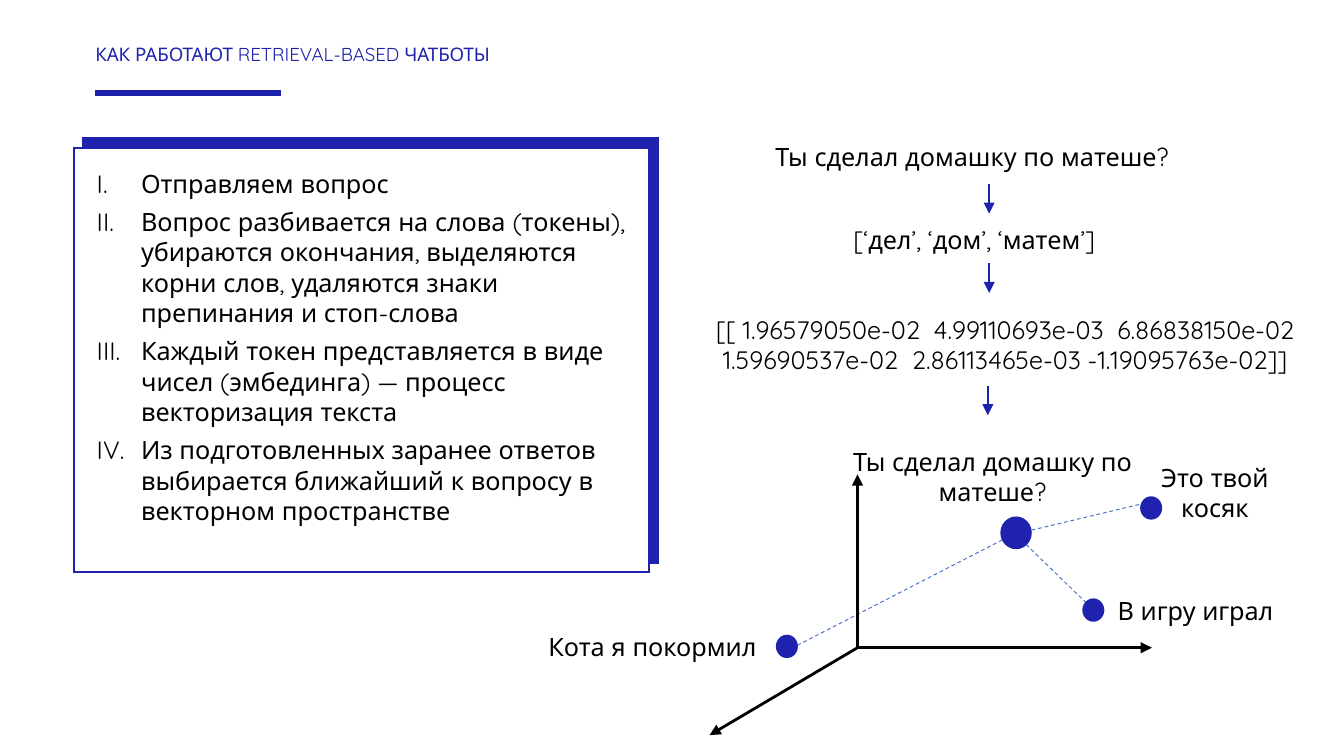
from lxml import etree
from pptx import Presentation
from pptx.dml.color import RGBColor
from pptx.enum.dml import MSO_LINE
from pptx.enum.shapes import MSO_CONNECTOR, MSO_SHAPE
from pptx.enum.text import PP_ALIGN
from pptx.oxml.ns import qn
from pptx.util import Inches, Pt

STRAIGHT = MSO_CONNECTOR.STRAIGHT
RECT, OVAL = MSO_SHAPE.RECTANGLE, MSO_SHAPE.OVAL
LEFT, CENTER, JUSTIFY = PP_ALIGN.LEFT, PP_ALIGN.CENTER, PP_ALIGN.JUSTIFY
DASH = MSO_LINE.DASH
COLORS = {"blue": "1E22AC", "title": "1E22AA", "link": "4472C4",
          "black": "000000", "white": "FFFFFF"}
RGB = {name: RGBColor.from_string(value) for name, value in COLORS.items()}

prs = Presentation()
prs.slide_width = Inches(10)
prs.slide_height = Inches(10) * 9 // 16
s = prs.slides.add_slide(prs.slide_layouts[6])


def add_text(text, box, size=13.5, color="black", align=CENTER, after=4.5,
             insets=(0.04, 0.04), margin=0.03, indent=0, numbered=False):
    tf = s.shapes.add_textbox(*map(Inches, box)).text_frame
    tf.word_wrap = True
    tf.margin_left, tf.margin_right = map(Inches, insets)
    tf.margin_top = tf.margin_bottom = Inches(0.05)
    for i, line in enumerate(text.split("\n")):
        p = tf.paragraphs[0] if i == 0 else tf.add_paragraph()
        p.alignment = align
        p.space_after = Pt(after)
        pPr = p._p.get_or_add_pPr()
        pPr.set("marL", str(Inches(margin)))
        pPr.set("indent", str(Inches(indent)))
        if numbered:
            etree.SubElement(pPr, qn("a:buFont"), typeface="Quicksand")
            etree.SubElement(pPr, qn("a:buAutoNum"), type="romanUcPeriod")
        r = p.add_run()
        r.text = line
        r.font.name = "Quicksand"
        r.font.size = Pt(size)
        r.font.color.rgb = RGB[color]


def add_line(x1, y1, x2, y2, color="blue", width=1, dash=None, arrow=True):
    c = s.shapes.add_connector(STRAIGHT, *map(Inches, (x1, y1, x2, y2)))
    c.line.color.rgb = RGB[color]
    c.line.width = Pt(width)
    if dash:
        c.line.dash_style = dash
    if arrow:
        etree.SubElement(c.line._get_or_add_ln(), qn("a:tailEnd"), type="triangle")
    etree.SubElement(c._element.spPr, qn("a:effectLst"))


for x1, y1, x2, y2 in [(5.8, 4.87, 7.55, 3.97), (8.19, 4.59, 7.55, 3.97),
                       (8.62, 3.72, 7.57, 3.97)]:
    add_line(x1, y1, x2, y2, "link", 0.5, DASH, arrow=False)

add_text("Ты сделал домашку по матеше?", (6.27, 3.27, 2.2, 0.56))

for x, y in [(6.38, 3.53), (8.57, 4.82), (5.28, 5.47)]:
    add_line(6.38, 4.82, x, y, "black", 1.5)

for kind, box, fill in [
    (OVAL, (7.45, 3.85, 0.22, 0.23), "blue"),
    (OVAL, (8.49, 3.7, 0.15, 0.16), "blue"),
    (OVAL, (5.78, 4.73, 0.15, 0.16), "blue"),
    (OVAL, (8.06, 4.46, 0.15, 0.16), "blue"),
    (RECT, (0.62, 1.03, 4.28, 3.16), "blue"),
    (RECT, (0.55, 1.1, 4.28, 3.16), "white"),
]:
    sp = s.shapes.add_shape(kind, *map(Inches, box))
    sp.shadow.inherit = False
    sp.fill.solid()
    sp.fill.fore_color.rgb = RGB[fill]
    sp.line.color.rgb = RGB["blue"]
    sp.line.width = Pt(1)
    etree.SubElement(sp.line._get_or_add_ln(), qn("a:miter"), lim="800000")

steps = [
    "Отправляем вопрос",
    "Вопрос разбивается на слова (токены), убираются окончания, "
    "выделяются корни слов, удаляются знаки препинания и стоп-слова",
    "Каждый токен представляется в виде чисел (эмбединга) — процесс "
    "векторизация текста",
    "Из подготовленных заранее ответов выбирается ближайший к вопросу "
    "в векторном пространстве",
]
add_text("\n".join(steps), (0.66, 1.2, 4.1, 2.36), align=LEFT,
         margin=0.35, indent=-0.33, numbered=True)

add_text("Ты сделал домашку по матеше?", (5.7, 1, 3.87, 0.33), align=JUSTIFY)
add_text("[‘дел’, ‘дом’, ‘матем’]", (6.28, 1.62, 2.32, 0.33), align=JUSTIFY)
add_text("[[ 1.96579050e-02  4.99110693e-03  6.86838150e-02\n"
         "1.59690537e-02  2.86113465e-03 -1.19095763e-02]]",
         (4.3, 2.29, 6.36, 0.56), after=0, margin=0)
add_text("Это твой косяк", (8.54, 3.39, 0.97, 0.56))
add_text("В игру играл", (7.79, 4.38, 2.18, 0.33))
add_text("Кота я покормил", (3.75, 4.65, 2.18, 0.33))

for x, y in [(7.36, 1.37), (7.36, 1.96), (7.35, 2.87)]:
    add_line(x, y, x, y + 0.22)

add_text("КАК РАБОТАЮТ RETRIEVAL-BASED ЧАТБОТЫ", (0.71, 0.27, 5.62, 0.43),
         size=10, color="title", align=LEFT, after=0, insets=(0, 0.1), margin=0)
add_line(0.71, 0.69, 2.09, 0.69, "title", 3, arrow=False)

prs.save("out.pptx")
